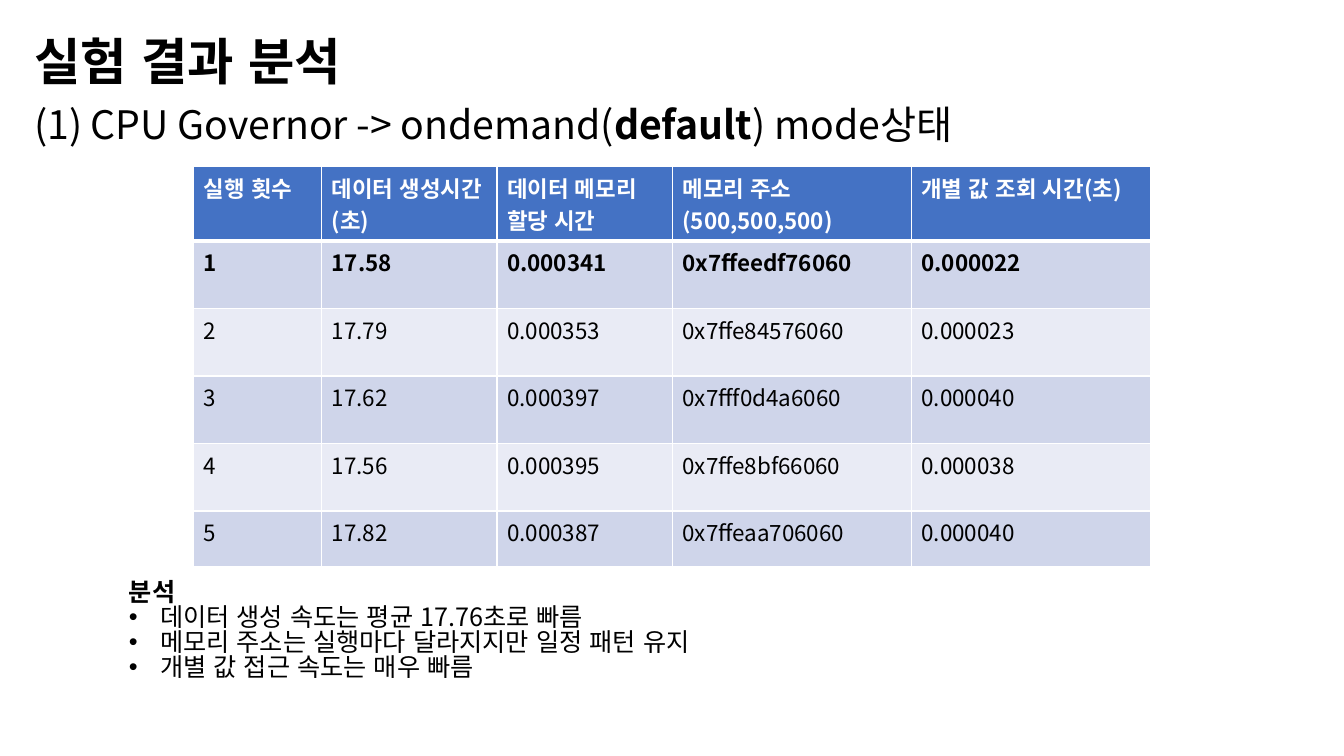
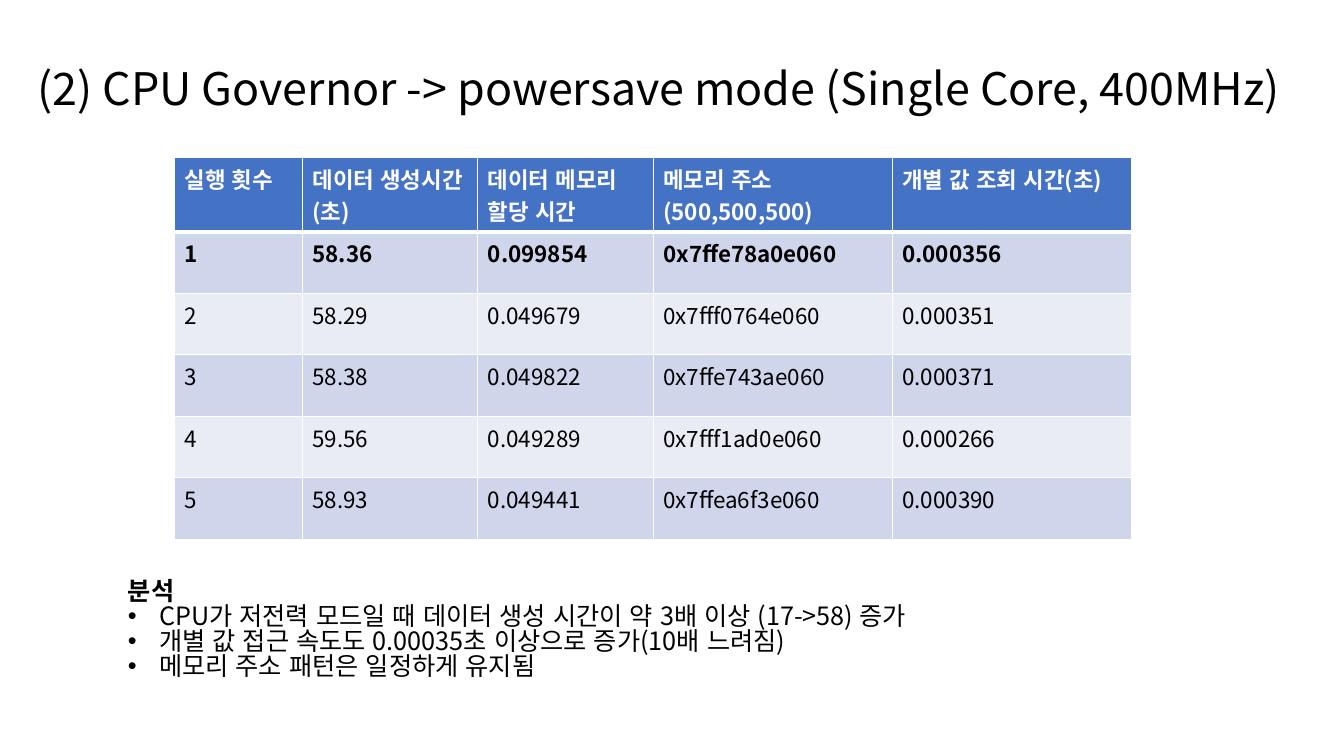
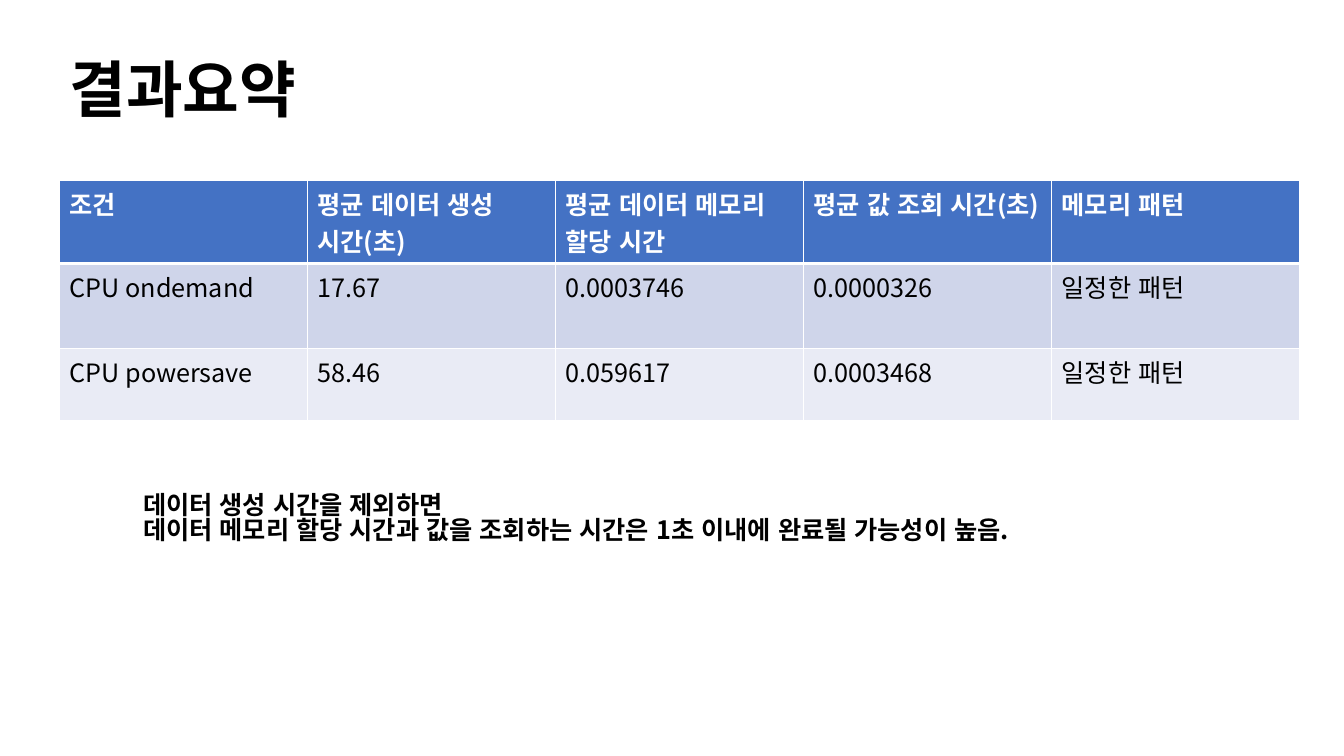
from lxml.etree import SubElement
from pptx import Presentation
from pptx.dml.color import RGBColor
from pptx.enum.lang import MSO_LANGUAGE_ID
from pptx.enum.text import MSO_ANCHOR, MSO_AUTO_SIZE, PP_ALIGN
from pptx.oxml.ns import qn
from pptx.util import Pt

PX = 9144  # 100 px to the inch
FONT = "Noto Sans CJK KR"
BLACK = RGBColor(0x00, 0x00, 0x00)
WHITE = RGBColor(0xFF, 0xFF, 0xFF)
HEADER_BLUE = RGBColor(0x44, 0x72, 0xC4)
BANDS = (RGBColor(0xCF, 0xD5, 0xEA), RGBColor(0xE9, 0xEB, 0xF5))
TITLE_LINE_SPACING = 0.9
NOTE_LINE_SPACING = 0.83
TITLE_ONLY = 5

RUN_COLUMNS = (127, 174, 174, 237, 237)
RUN_HEADER = ("실행 횟수", "데이터 생성시간(초)", "데이터 메모리 할당 시간",
              "메모리 주소(500,500,500)", "개별 값 조회 시간(초)")
ONDEMAND_RUNS = (
    ("1", "17.58", "0.000341", "0x7ffeedf76060", "0.000022"),
    ("2", "17.79", "0.000353", "0x7ffe84576060", "0.000023"),
    ("3", "17.62", "0.000397", "0x7fff0d4a6060", "0.000040"),
    ("4", "17.56", "0.000395", "0x7ffe8bf66060", "0.000038"),
    ("5", "17.82", "0.000387", "0x7ffeaa706060", "0.000040"),
)
POWERSAVE_RUNS = (
    ("1", "58.36", "0.099854", "0x7ffe78a0e060", "0.000356"),
    ("2", "58.29", "0.049679", "0x7fff0764e060", "0.000351"),
    ("3", "58.38", "0.049822", "0x7ffe743ae060", "0.000371"),
    ("4", "59.56", "0.049289", "0x7fff1ad0e060", "0.000266"),
    ("5", "58.93", "0.049441", "0x7ffea6f3e060", "0.000390"),
)
SUMMARY_HEADER = ("조건", "평균 데이터 생성 시간(초)", "평균 데이터 메모리 할당 시간",
                  "평균 값 조회 시간(초)", "메모리 패턴")
SUMMARY = (
    ("CPU ondemand", "17.67", "0.0003746", "0.0000326", "일정한 패턴"),
    ("CPU powersave", "58.46", "0.059617", "0.0003468", "일정한 패턴"),
)


def emu(*lengths):
    return [length * PX for length in lengths]


def write_run(paragraph, text, size, bold=False, color=BLACK):
    run = paragraph.add_run()
    run.text = text
    run.font.color.rgb = color
    formats = {"name": FONT, "size": Pt(size), "bold": bold,
               "language_id": MSO_LANGUAGE_ID.KOREAN}
    for attribute, value in formats.items():
        setattr(run.font, attribute, value)
    SubElement(run.font._element, qn("a:ea"), typeface=FONT)


def add_marker(paragraph, tag, indent, **attributes):
    """Give the paragraph a hanging bullet or number."""
    properties = paragraph._p.get_or_add_pPr()
    properties.set("marL", str(indent * PX))
    properties.set("indent", str(-indent * PX))
    SubElement(properties, qn("a:buFont"), typeface="Arial" if tag == "a:buChar" else FONT)
    SubElement(properties, qn(tag), **attributes)


def add_titled_slide(deck, box, text, size, bold=False, anchor=MSO_ANCHOR.MIDDLE):
    slide = deck.slides.add_slide(deck.slide_layouts[TITLE_ONLY])
    title = slide.shapes.title
    title.left, title.top, title.width, title.height = emu(*box)
    formats = {"word_wrap": True, "auto_size": MSO_AUTO_SIZE.NONE, "vertical_anchor": anchor}
    for attribute, value in formats.items():
        setattr(title.text_frame, attribute, value)
    heading = title.text_frame.paragraphs[0]
    heading.alignment = PP_ALIGN.LEFT
    heading.line_spacing = TITLE_LINE_SPACING
    write_run(heading, text, size, bold)
    return slide


def add_numbered_subtitle(slide, runs):
    subtitle = slide.shapes.title.text_frame.add_paragraph()
    add_marker(subtitle, "a:buAutoNum", 56, type="arabicParenBoth")
    formats = {"alignment": PP_ALIGN.LEFT, "line_spacing": TITLE_LINE_SPACING,
               "space_before": Pt(10)}
    for attribute, value in formats.items():
        setattr(subtitle, attribute, value)
    for text, bold in runs:
        write_run(subtitle, text, 28, bold)


def set_borders(cell, top, bottom):
    """Draw white cell borders; top and bottom widths are in points."""
    properties = cell._tc.get_or_add_tcPr()
    for side, width in {"L": 1, "R": 1, "T": top, "B": bottom}.items():
        line = SubElement(properties, qn(f"a:ln{side}"), w=str(Pt(width)))
        SubElement(SubElement(line, qn("a:solidFill")), qn("a:srgbClr"), val=str(WHITE))


def add_results_table(slide, left, top, columns, heights, rows, size, bold_rows=1):
    frame = slide.shapes.add_table(len(rows), len(columns),
                                   *emu(left, top, sum(columns), sum(heights)))
    table = frame.table
    for column, width in zip(table.columns, columns):
        column.width = width * PX
    for index, (row, height, values) in enumerate(zip(table.rows, heights, rows)):
        row.height = height * PX
        is_header = index == 0
        for cell, value in zip(row.cells, values):
            set_borders(cell, top=3 if index == 1 else 1, bottom=3 if is_header else 1)
            cell.fill.solid()
            cell.fill.fore_color.rgb = HEADER_BLUE if is_header else BANDS[(index - 1) % 2]
            write_run(cell.text_frame.paragraphs[0], value, size, index < bold_rows,
                      WHITE if is_header else BLACK)


def add_note(slide, box, bold_lines, bullets=()):
    note = slide.shapes.add_textbox(*emu(*box)).text_frame
    note.word_wrap = True
    note.auto_size = MSO_AUTO_SIZE.SHAPE_TO_FIT_TEXT
    for index, line in enumerate((*bold_lines, *bullets)):
        paragraph = note.add_paragraph() if index else note.paragraphs[0]
        is_bullet = index >= len(bold_lines)
        if is_bullet:
            add_marker(paragraph, "a:buChar", 31, char="•")
        paragraph.line_spacing = NOTE_LINE_SPACING
        write_run(paragraph, line, 18, not is_bullet)


def build_ondemand(deck):
    slide = add_titled_slide(deck, (24, 32, 1150, 125), "실험 결과 분석", 36, True,
                             MSO_ANCHOR.TOP)
    add_numbered_subtitle(slide, (("CPU Governor -> ondemand(", False), ("default", True),
                                  (") mode상태", False)))
    add_results_table(slide, 192, 165, RUN_COLUMNS, [67] * 5 + [55],
                      (RUN_HEADER, *ONDEMAND_RUNS), 16, bold_rows=2)
    add_note(slide, (118, 572, 1189, 131), ["분석"], (
        "데이터 생성 속도는 평균 17.76초로 빠름",
        "메모리 주소는 실행마다 달라지지만 일정 패턴 유지",
        "개별 값 접근 속도는 매우 빠름"))


def build_powersave(deck):
    slide = add_titled_slide(deck, (27, 28, 1306, 124),
                             "(2) CPU Governor -> powersave mode (Single Core, 400MHz)", 32)
    add_results_table(slide, 173, 156, RUN_COLUMNS, [58] + [61] * 5,
                      (RUN_HEADER, *POWERSAVE_RUNS), 16, bold_rows=2)
    add_note(slide, (117, 571, 949, 131), ["분석"], (
        "CPU가 저전력 모드일 때 데이터 생성 시간이 약 3배 이상 (17->58) 증가",
        "개별 값 접근 속도도 0.00035초 이상으로 증가(10배 느려짐)",
        "메모리 주소 패턴은 일정하게 유지됨"))


def build_summary(deck):
    slide = add_titled_slide(deck, (59, 19, 1150, 145), "결과요약", 44, True)
    add_results_table(slide, 59, 179, [246] * 5, [72, 84, 72], (SUMMARY_HEADER, *SUMMARY), 18)
    add_note(slide, (132, 486, 1069, 71), (
        "데이터 생성 시간을 제외하면",
        "데이터 메모리 할당 시간과 값을 조회하는 시간은 1초 이내에 완료될 가능성이 높음."))


def main():
    deck = Presentation()
    deck.slide_width, deck.slide_height = emu(1333, 750)
    build_ondemand(deck)
    build_powersave(deck)
    build_summary(deck)
    deck.save("out.pptx")


if __name__ == "__main__":
    main()
